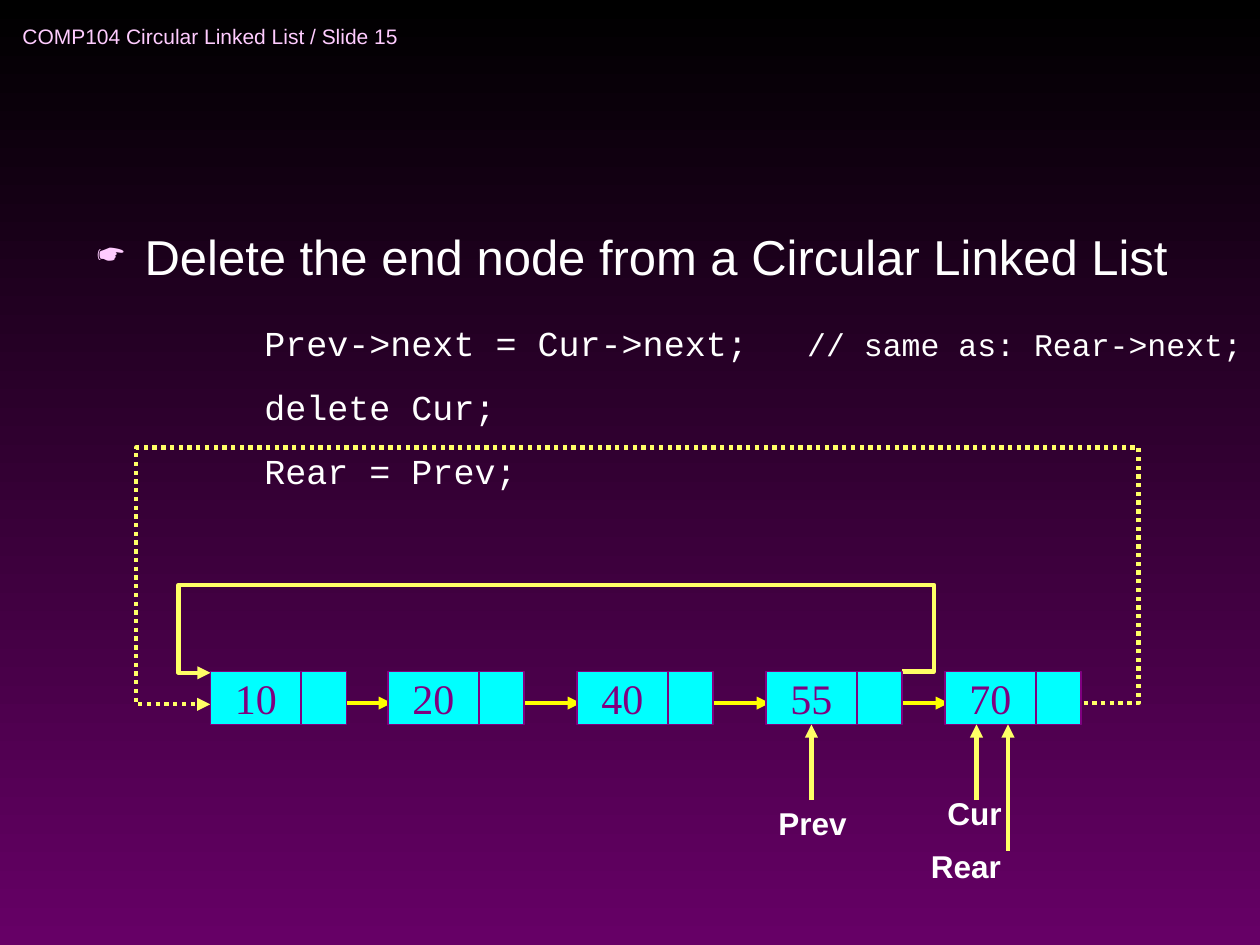
from lxml import etree
from pptx import Presentation
from pptx import util as u
from pptx.dml.color import RGBColor
from pptx.enum import dml, shapes, text
from pptx.oxml import ns

BLACK = RGBColor(0x00, 0x00, 0x00)
PURPLE = RGBColor(0x66, 0x00, 0x66)
PINK = RGBColor(0xFF, 0xCC, 0xFF)
WHITE = RGBColor(0xFF, 0xFF, 0xFF)
YELLOW = RGBColor(0xFF, 0xFF, 0x00)
PALE_YELLOW = RGBColor(0xFF, 0xFF, 0x66)
CYAN = RGBColor(0x00, 0xFF, 0xFF)
VIOLET = RGBColor(0x80, 0x00, 0x80)

NODE_TOP, NODE_HEIGHT = 5.33, 0.42
VALUE_WIDTH, POINTER_WIDTH = 0.72, 0.36
NODE_BOTTOM = NODE_TOP + NODE_HEIGHT
LINK_Y = 5.58


def add_element(parent, tag, **attributes):
    return etree.SubElement(parent, ns.qn(tag), attributes)


class SlideBuilder:
    def __init__(self, slide):
        self.slide = slide

    def background(self, top_color, bottom_color):
        fill = self.slide.background.fill
        fill.gradient()
        fill.gradient_angle = 270
        for stop, color, position in zip(fill.gradient_stops, (top_color, bottom_color), (0, 1)):
            stop.color.rgb = color
            stop.position = position

    def run(self, paragraph, words, size, font="Arial", color=WHITE, bold=False):
        run = paragraph.add_run()
        run.text = words
        run.font.size = u.Pt(size)
        run.font.name = font
        run.font.color.rgb = color
        run.font.bold = bold

    def text_box(self, left, top, width, height, wrap=True):
        box = self.slide.shapes.add_textbox(*map(u.Inches, (left, top, width, height)))
        box.text_frame.word_wrap = wrap
        return box.text_frame

    def label(self, words, left, top):
        frame = self.text_box(left, top, 1.25, 0.4)
        self.run(frame.paragraphs[0], words, 18, bold=True)

    def bullet(self, paragraph, character, color):
        properties = paragraph._p.get_or_add_pPr()
        properties.set("marL", str(u.Inches(0.38)))
        properties.set("indent", str(-u.Inches(0.38)))
        bullet_color = add_element(properties, "a:buClr")
        add_element(bullet_color, "a:srgbClr", val=str(color))
        add_element(properties, "a:buSzPct", val="75000")
        add_element(properties, "a:buChar", char=character)

    def arrow(self, start, end, color=PALE_YELLOW, kind=shapes.MSO_CONNECTOR.STRAIGHT, dash=None):
        connector = self.slide.shapes.add_connector(kind, *map(u.Inches, (*start, *end)))
        connector.line.color.rgb = color
        connector.line.width = u.Pt(2.5)
        if dash:
            connector.line.dash_style = dash
        add_element(connector.line._get_or_add_ln(), "a:tailEnd", type="triangle")
        add_element(connector._element.spPr, "a:effectLst")
        return connector

    def loop_arrow(self, start, end, right, top, left, dash=None):
        """Elbow arrow that leaves to the right, runs over the top and returns from the left."""
        connector = self.arrow(start, end, kind=shapes.MSO_CONNECTOR.ELBOW, dash=dash)
        width, height = end[0] - start[0], end[1] - start[1]
        ratios = ((right - start[0]) / width, (top - start[1]) / height, (left - start[0]) / width)
        geometry = connector._element.spPr.find(ns.qn("a:prstGeom"))
        geometry.set("prst", "bentConnector5")
        guides = geometry.find(ns.qn("a:avLst"))
        for number, ratio in enumerate(ratios, 1):
            add_element(guides, "a:gd", name=f"adj{number}", fmla=f"val {round(ratio * 100000)}")

    def cell(self, group, left, width):
        cell = group.shapes.add_shape(
            shapes.MSO_SHAPE.RECTANGLE, *map(u.Inches, (left, NODE_TOP, width, NODE_HEIGHT)))
        cell.shadow.inherit = False
        cell.fill.solid()
        cell.fill.fore_color.rgb = CYAN
        cell.line.color.rgb = VIOLET
        cell.line.width = u.Pt(1)
        return cell

    def node(self, value, left):
        group = self.slide.shapes.add_group_shape()
        value_cell = self.cell(group, left, VALUE_WIDTH)
        self.cell(group, left + VALUE_WIDTH, POINTER_WIDTH)
        frame = value_cell.text_frame
        frame.word_wrap = False
        frame.vertical_anchor = text.MSO_ANCHOR.MIDDLE
        paragraph = frame.paragraphs[0]
        paragraph.alignment = text.PP_ALIGN.CENTER
        self.run(paragraph, str(value), 24, "Times New Roman", VIOLET)
        return value_cell


def main():
    presentation = Presentation()
    presentation.slide_width, presentation.slide_height = u.Inches(10), u.Inches(7.5)
    builder = SlideBuilder(presentation.slides.add_slide(presentation.slide_layouts[6]))
    builder.background(BLACK, PURPLE)

    # Header and heading
    header = builder.text_box(0.08, 0.08, 3.2, 0.42)
    header.vertical_anchor = text.MSO_ANCHOR.MIDDLE
    builder.run(header.paragraphs[0], "COMP104 Circular Linked List / Slide 15", 12, color=PINK)
    heading = builder.text_box(0.67, 1.75, 9.17, 4.75).paragraphs[0]
    builder.bullet(heading, "☛", PINK)
    builder.run(heading, "Delete the end node from a Circular Linked List", 28)

    # Code
    code = builder.text_box(2, 2.5, 8, 1.45)
    code_lines = (
        (("Prev->next = Cur->next; ", 20), ("  // same as: Rear->next;", 18)),
        (("delete Cur;", 20),),
        (("Rear = Prev;", 20),),
    )
    for index, line in enumerate(code_lines):
        paragraph = code.add_paragraph() if index else code.paragraphs[0]
        if index:
            paragraph.space_before = u.Pt(12.5)
        for words, size in line:
            builder.run(paragraph, words, size, "Courier New")

    # Links between nodes, drawn beneath them
    nodes = {10: 1.67, 20: 3.08, 40: 4.58, 55: 6.08, 70: 7.5}
    for left in list(nodes.values())[1:]:
        builder.arrow((left - 0.41, LINK_Y), (left + 0.03, LINK_Y), YELLOW)

    # Old and new links from the end back to the first node
    builder.loop_arrow((8.6, LINK_Y), (1.67, LINK_Y + 0.01), right=9.04, top=3.52, left=1.08,
                       dash=dml.MSO_LINE.ROUND_DOT)
    builder.loop_arrow((7.16, NODE_TOP), (1.67, NODE_TOP + 0.01), right=7.41, top=4.63, left=1.42)

    # Nodes
    cells = {value: builder.node(value, left) for value, left in nodes.items()}

    # Pointers
    builder.label("Prev", 6.08, 6.33)
    builder.label("Cur", 7.42, 6.25)
    builder.label("Rear", 7.29, 6.67)
    prev_x = nodes[55] + VALUE_WIDTH / 2
    builder.arrow((prev_x, 6.35), (prev_x, NODE_BOTTOM)).end_connect(cells[55], 2)
    builder.arrow((7.75, 6.35), (7.75, NODE_BOTTOM))
    builder.arrow((8, 6.75), (8, NODE_BOTTOM))

    presentation.save("out.pptx")


if __name__ == "__main__":
    main()
